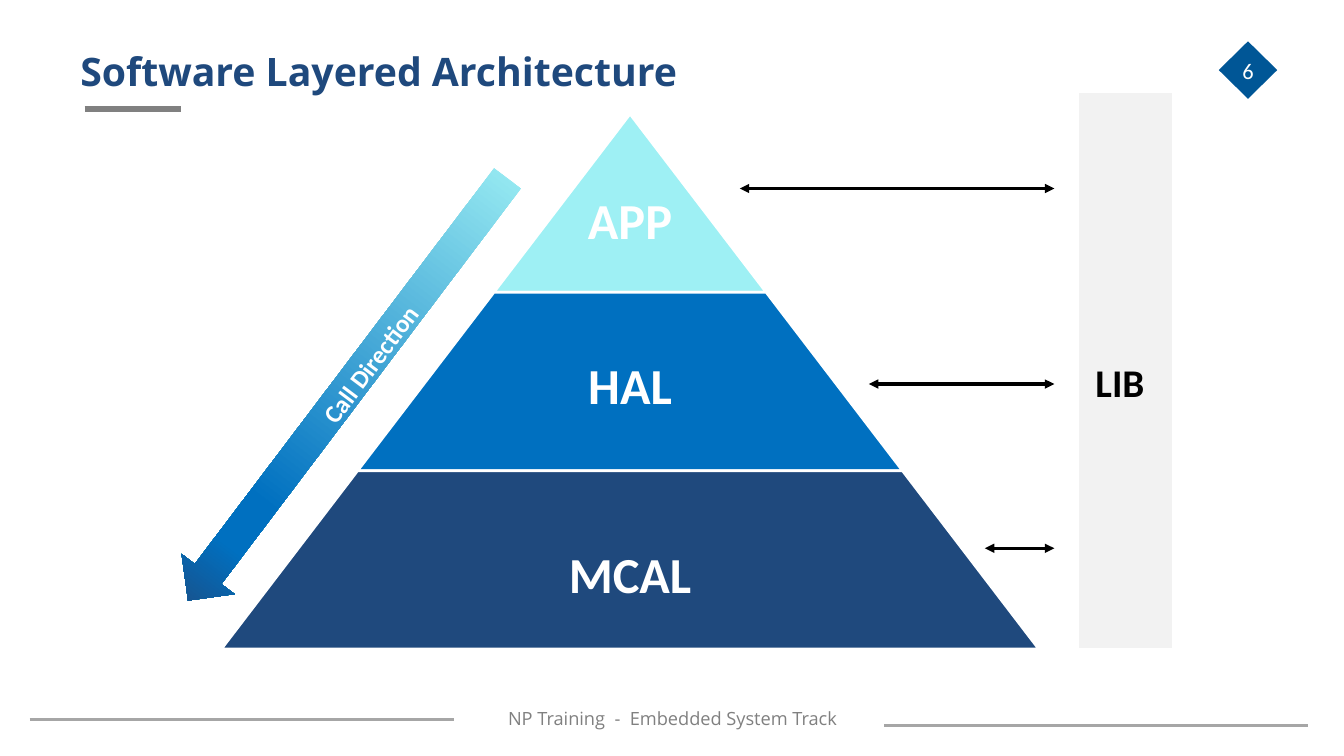
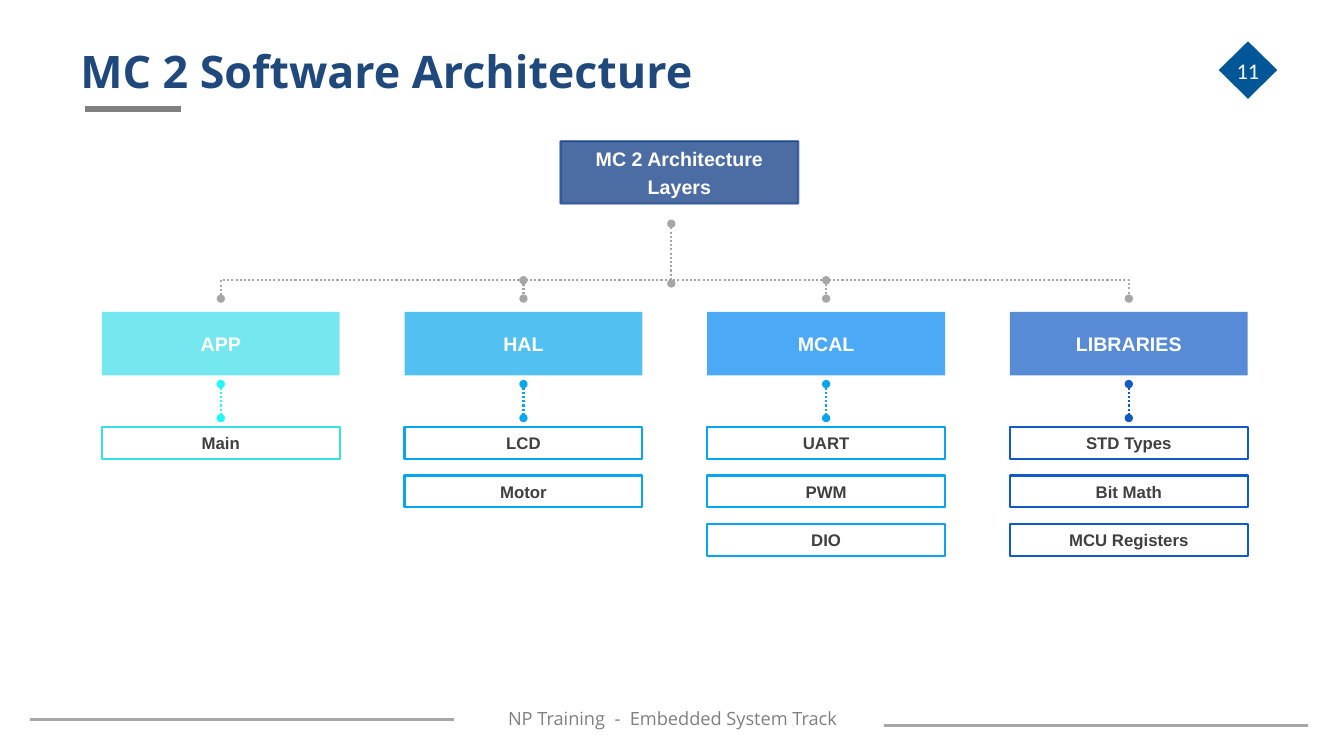
import dataclasses

import lxml.etree
import pptx
import pptx.dml.color
import pptx.enum.dml
import pptx.enum.shapes
import pptx.enum.text
import pptx.oxml.ns
import pptx.util

SHAPE = pptx.enum.shapes.MSO_SHAPE
ALIGN = pptx.enum.text.PP_ALIGN
MIDDLE = pptx.enum.text.MSO_ANCHOR.MIDDLE
DOTTED = pptx.enum.dml.MSO_LINE.ROUND_DOT


@dataclasses.dataclass(frozen=True)
class Theme:
    heading_font: str = "Open Sans"
    label_font: str = "Calibri"
    chart_font: str = "Arial"
    navy: str = "1F497D"
    badge: str = "005696"
    blue: str = "0070C0"
    aqua: str = "9EF0F4"
    white: str = "FFFFFF"
    black: str = "000000"
    panel: str = "F2F2F2"
    gray: str = "808080"
    rule: str = "A6A6A6"
    ink: str = "404040"
    root: str = "00307E"
    cyan: str = "39DFE7"
    cyan_link: str = "1FFBFD"
    sky: str = "0AA6ED"
    azure: str = "0085F2"
    royal: str = "125AC4"
    tier_size: int = 36
    side_size: int = 28
    arrow_size: int = 18
    number_size: int = 16
    header_size: int = 14
    footer_size: int = 13
    item_size: int = 12


def tag(name):
    return pptx.oxml.ns.qn(name)


def color(value):
    return pptx.dml.color.RGBColor.from_string(value)


def add_alpha(fill_owner, percent):
    lxml.etree.SubElement(fill_owner, tag("a:alpha"), val=str(percent * 1000))


class SlideBuilder:
    def __init__(self, theme):
        self.theme = theme
        self.deck = pptx.Presentation()
        self.deck.slide_width = pptx.util.Inches(13.33)
        self.deck.slide_height = pptx.util.Inches(7.5)
        self.page = None

    def x(self, share):
        return round(self.deck.slide_width * share / 100)

    def y(self, share):
        return round(self.deck.slide_height * share / 100)

    def frame(self, left, top, width, height):
        return self.x(left), self.y(top), self.x(width), self.y(height)

    def start(self, title, title_size, number):
        theme = self.theme
        self.page = self.deck.slides.add_slide(self.deck.slide_layouts[5])
        box = self.page.shapes.title
        box.left, box.top, box.width, box.height = self.frame(5, 4.13, 90, 10.4)
        self.set_text(box, title, theme.heading_font, title_size, theme.navy,
                      bold=True, align=ALIGN.LEFT, insets=(0.13, 0.07))
        self.line((6.3, 14.4), (13.5, 14.4), theme.gray, 4.5)
        badge = self.shape(SHAPE.DIAMOND, (90.68, 5.47, 4.35, 7.6), theme.badge)
        self.set_text(badge, number, theme.label_font, theme.number_size,
                      theme.white, insets=(0, 0), wrap=False)
        self.label((50.03, 95.07), (31.65, 5.3),
                   "NP Training  -  Embedded System Track",
                   theme.heading_font, theme.footer_size, theme.gray, bold=False)
        self.line((2.2, 95.2), (33.75, 95.2), theme.rule, 0)
        self.line((65.8, 96), (97.35, 96), theme.rule, 0)

    def set_text(self, box, text, font, size, ink, bold=False, align=ALIGN.CENTER,
                 insets=(0.1, 0.05), wrap=True, space_before=0):
        frame = box.text_frame
        frame.text = text
        frame.word_wrap = wrap
        frame.auto_size = pptx.enum.text.MSO_AUTO_SIZE.NONE
        frame.vertical_anchor = MIDDLE
        frame.margin_left = frame.margin_right = pptx.util.Inches(insets[0])
        frame.margin_top = frame.margin_bottom = pptx.util.Inches(insets[1])
        for para in frame.paragraphs:
            para.alignment = align
            para.space_before = pptx.util.Pt(space_before)
            para.font.name = font
            para.font.size = pptx.util.Pt(size)
            para.font.bold = bold
            para.font.color.rgb = color(ink)

    def label(self, center, size, text, font, points, ink, bold=True, rotation=0):
        box = self.page.shapes.add_textbox(*self.frame(
            center[0] - size[0] / 2, center[1] - size[1] / 2, *size))
        box.rotation = rotation
        self.set_text(box, text, font, points, ink, bold)

    def shape(self, kind, place, fill=None, outline=None, width=0,
              fill_alpha=None, outline_alpha=None):
        shape = self.page.shapes.add_shape(kind, *self.frame(*place))
        shape.shadow.inherit = False
        if fill:
            shape.fill.solid()
            shape.fill.fore_color.rgb = color(fill)
            if fill_alpha:
                add_alpha(shape.element.xpath("./p:spPr/a:solidFill/a:srgbClr")[0],
                          fill_alpha)
        else:
            shape.fill.background()
        if outline:
            shape.line.color.rgb = color(outline)
            shape.line.width = pptx.util.Pt(width)
            if outline_alpha:
                add_alpha(shape.element.xpath(".//a:ln/a:solidFill/a:srgbClr")[0],
                          outline_alpha)
        else:
            shape.line.fill.background()
        return shape

    def gradient(self, shape, stops):
        shape.fill.gradient()
        shape.fill.gradient_angle = 270
        stop_list = shape.element.xpath(".//a:gsLst")[0]
        for stop in list(stop_list):
            stop_list.remove(stop)
        for share, value in stops:
            stop = lxml.etree.SubElement(stop_list, tag("a:gs"), pos=str(share * 1000))
            lxml.etree.SubElement(stop, tag("a:srgbClr"), val=value)

    def stroke(self, shape, ink, width, ends=None, dash=None):
        shape.line.color.rgb = color(ink)
        shape.line.width = pptx.util.Pt(width)
        if dash:
            shape.line.dash_style = dash
        if ends:
            outline = shape.element.xpath(".//a:ln")[0]
            for end in ("a:headEnd", "a:tailEnd"):
                lxml.etree.SubElement(outline, tag(end), type=ends)

    def line(self, start, finish, ink, width, ends=None, dash=None):
        connector = self.page.shapes.add_connector(
            pptx.enum.shapes.MSO_CONNECTOR.STRAIGHT,
            self.x(start[0]), self.y(start[1]), self.x(finish[0]), self.y(finish[1]))
        self.stroke(connector, ink, width, ends, dash)
        lxml.etree.SubElement(connector.element.spPr, tag("a:effectLst"))

    def dotted_link(self, column, top, bottom, ink):
        self.line((column, top), (column, bottom), ink, 1.5, "oval", DOTTED)

    def dotted_bracket(self, points, ink):
        corners = [(self.x(across), self.y(down)) for across, down in points]
        outline = self.page.shapes.build_freeform(*corners[0])
        outline.add_line_segments(corners[1:], close=False)
        bracket = outline.convert_to_shape()
        bracket.shadow.inherit = False
        bracket.fill.background()
        self.stroke(bracket, ink, 1.5, "oval", DOTTED)


def build_pyramid(builder):
    theme = builder.theme
    builder.start("Software Layered Architecture", 28, "6")
    center, top, tier_width, tier_height = 46.88, 15.07, 20.28, 23.6
    tiers = (("APP", theme.aqua, 29), ("HAL", theme.blue, 50.87),
             ("MCAL", theme.navy, 75.8))
    for index, (name, fill, label_row) in enumerate(tiers):
        width = tier_width * (index + 1)
        tier = builder.shape(
            SHAPE.TRAPEZOID,
            (center - width / 2, top + index * tier_height, width, tier_height),
            fill, theme.white, 2)
        tier.adjustments[0] = 0.764
        builder.label((center, label_row), (25.88, 9.47), name,
                      theme.label_font, theme.tier_size, theme.white)

    arrow = builder.shape(SHAPE.DOWN_ARROW, (23.4, 16.53, 4.95, 70))
    arrow.rotation = 37.1
    builder.gradient(arrow, ((0, theme.aqua), (74, theme.blue),
                             (83, theme.blue), (100, theme.navy)))
    builder.label((27.53, 48.15), (17.85, 5.33), "Call Direction",
                  theme.label_font, theme.arrow_size, theme.white, rotation=306.9)

    builder.shape(SHAPE.RECTANGLE, (80.18, 12.13, 7.13, 73.73),
                  theme.panel, theme.white, 2)
    builder.label((83.33, 50.5), (6, 7.6), "LIB",
                  theme.label_font, theme.side_size, theme.black)
    for left, row in ((55.05, 24.93), (64.65, 50.8), (73.28, 72.53)):
        builder.line((left, row), (78.45, row), theme.black, 2.25, "triangle")


def build_layer_tree(builder):
    theme = builder.theme
    builder.start("MC 2 Software Architecture", 32, "11")
    first_left, pitch, box_width = 7.58, 22.52, 17.7
    bus_row, stub_end = 37.07, 39.5
    first_item, item_pitch = 56.5, 6.4
    layers = (
        ("APP", theme.cyan, theme.cyan, theme.cyan_link, ("Main",)),
        ("HAL", theme.sky, theme.sky, theme.sky, ("LCD", "Motor")),
        ("MCAL", theme.azure, theme.sky, theme.sky, ("UART", "PWM", "DIO")),
        ("LIBRARIES", theme.royal, theme.royal, theme.royal,
         ("STD Types", "Bit Math", "MCU Registers")),
    )
    lefts = [first_left + index * pitch for index in range(len(layers))]
    centers = [left + box_width / 2 for left in lefts]

    root = builder.shape(SHAPE.RECTANGLE, (41.7, 18.67, box_width, 8.27),
                         theme.root, theme.root, 1.5, 70, 60)
    builder.set_text(root, "MC 2 Architecture\nLayers", theme.chart_font,
                     theme.header_size, theme.white, bold=True, space_before=3.5)

    builder.dotted_bracket(((centers[0], stub_end), (centers[0], bus_row),
                            (centers[-1], bus_row), (centers[-1], stub_end)),
                           theme.rule)
    builder.dotted_link(49.95, 29.6, 37.5, theme.rule)
    for center in centers[1:-1]:
        builder.dotted_link(center, bus_row, stub_end, theme.rule)

    for left, center, layer in zip(lefts, centers, layers):
        name, fill, outline, link, items = layer
        header = builder.shape(SHAPE.RECTANGLE, (left, 41.25, box_width, 8.4),
                               fill, fill_alpha=70)
        builder.set_text(header, name, theme.chart_font, theme.header_size,
                         theme.white, bold=True)
        builder.dotted_link(center, 50.8, 55.3, link)
        for index, item in enumerate(items):
            box = builder.shape(
                SHAPE.RECTANGLE,
                (left, first_item + index * item_pitch, box_width, 4.2),
                outline=outline, width=1.5)
            builder.set_text(box, item, theme.chart_font, theme.item_size,
                             theme.ink, bold=True)


def main():
    builder = SlideBuilder(Theme())
    build_pyramid(builder)
    build_layer_tree(builder)
    builder.deck.save("out.pptx")


if __name__ == "__main__":
    main()
